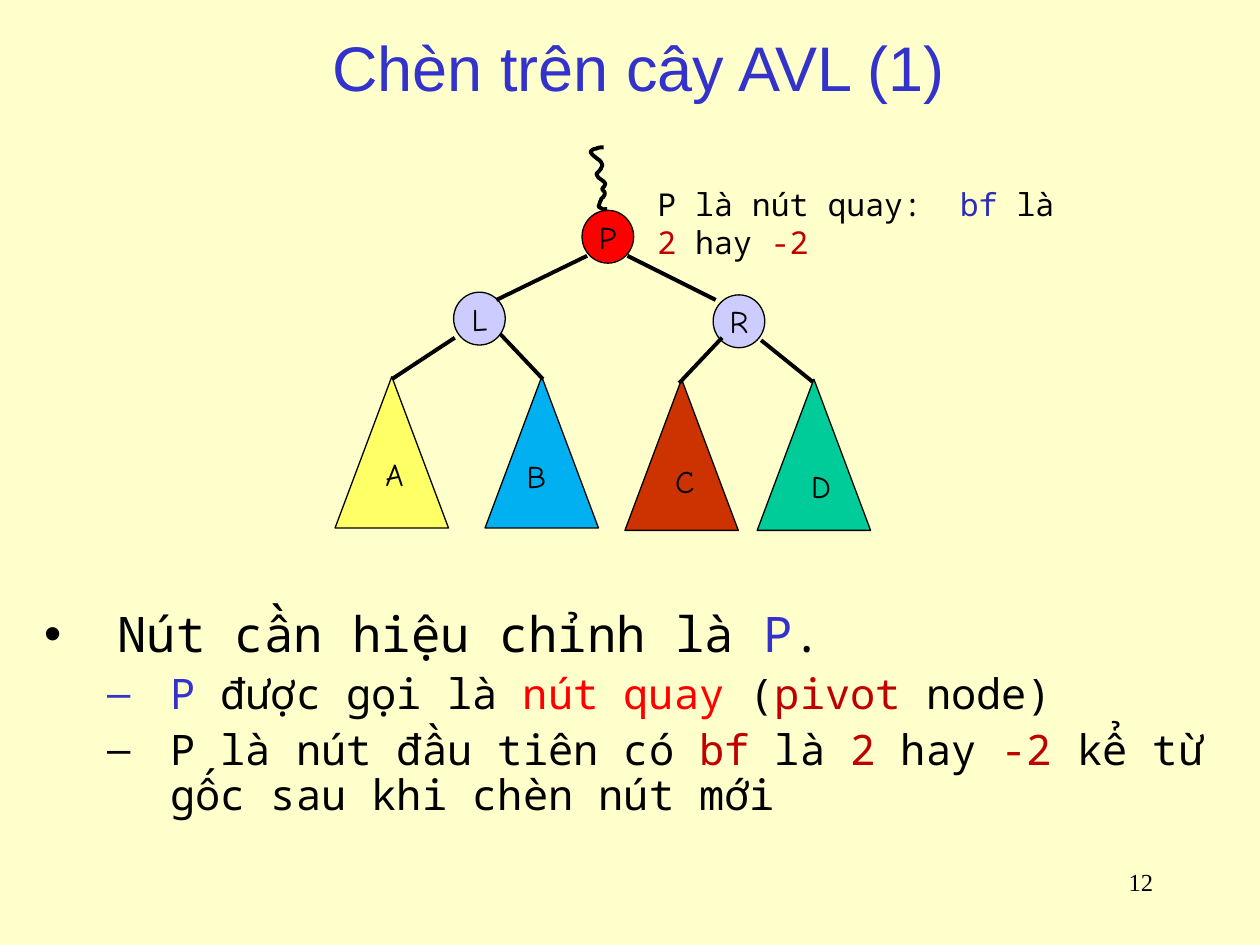
from dataclasses import dataclass
from typing import NamedTuple

from lxml import etree
from pptx import Presentation
from pptx.dml import color
from pptx.enum import shapes, text
from pptx.oxml import ns
from pptx.util import Pt


@dataclass(frozen=True)
class Theme:
    background: str = "FFFFCC"
    ink: str = "000000"
    blue: str = "3333CC"
    navy: str = "2D2DB9"
    red: str = "FF0000"
    crimson: str = "C00000"
    lilac: str = "CCCCFF"
    yellow: str = "FFFF66"
    sky: str = "00B0F0"
    rust: str = "CC3300"
    green: str = "00CC99"
    heading: str = "Arial"
    mono: str = "Noto Sans Mono"
    hand: str = "Comic Neue"
    serif: str = "Times New Roman"
    title_size: float = 36
    item_size: float = 28
    subitem_size: float = 24
    label_size: float = 18
    number_size: float = 14
    outline: float = 0.75
    edge: float = 2.25


T = Theme()


class Node(NamedTuple):
    label: str
    x: float
    y: float
    fill: str


class Subtree(NamedTuple):
    label: str
    x: float
    y: float
    fill: str
    label_x: float
    label_y: float


class Edge(NamedTuple):
    x1: float
    y1: float
    x2: float
    y2: float


class Span(NamedTuple):
    text: str
    color: str = T.ink


class Item(NamedTuple):
    level: int
    size: float
    margin: float
    hanging: float
    before: float
    bullet: str
    bullet_color: str
    spans: list[Span]


NODES = [
    Node("P", 332.6, 120.2, T.red),
    Node("L", 259.2, 167, T.lilac),
    Node("R", 407.5, 168.5, T.lilac),
]
SUBTREES = [
    Subtree("A", 191.5, 215.3, T.yellow, 213.1, 256.3),
    Subtree("B", 277.2, 215.3, T.sky, 293.8, 257.8),
    Subtree("C", 357.1, 216.7, T.rust, 378.7, 260.6),
    Subtree("D", 432.7, 216.7, T.green, 456.5, 263.5),
]
OUTER_EDGES = [
    Edge(335.5, 146.2, 283.7, 171.4),
    Edge(358.6, 146.2, 409, 171.4),
    Edge(434.9, 194.4, 464.4, 218.2),
    Edge(259.9, 193, 223.9, 216.7),
]
INNER_EDGES = [
    Edge(285.8, 190.8, 310.3, 216.7),
    Edge(412.6, 193, 388.1, 218.9),
]
SQUIGGLE_START = (344.9, 84.2)
SQUIGGLE_CURVES = [
    ((343.4, 84.2), (342, 84.2), (340.6, 85)),
    ((339.1, 85), (338.4, 85.7), (337.7, 86.4)),
    ((337, 87.8), (340.6, 90), (341.3, 90.7)),
    ((343.4, 92.2), (343.4, 92.2), (344.2, 94.3)),
    ((344.2, 95), (343.4, 95.8), (343.4, 96.5)),
    ((341.3, 99.4), (339.8, 98.6), (342, 101.5)),
    ((342.7, 102.2), (344.2, 103), (344.9, 103.7)),
    ((345.6, 104.4), (346.3, 105.1), (345.6, 105.8)),
    ((345.6, 106.6), (344.2, 107.3), (344.2, 108)),
    ((344.2, 108.7), (345.6, 109.4), (345.6, 110.2)),
    ((345.6, 110.9), (345.6, 111.6), (344.9, 112.3)),
    ((344.9, 113), (343.4, 113), (343.4, 114.5)),
    ((342.7, 115.2), (342.7, 116.6), (342, 118.1)),
    ((345.6, 120.2), (344.2, 119.5), (347, 119.5)),
]
NOTE = [Span("P là nút quay:  "), Span("bf", T.navy), Span(" là "),
        Span("2", T.crimson), Span(" hay "), Span("-2", T.crimson)]
ITEMS = [
    Item(0, T.item_size, 42, 42, 0, "•", T.ink, [
        Span("Nút cần hiệu chỉnh là "), Span("P", T.blue), Span(".")]),
    Item(1, T.subitem_size, 72, 36, 6, "–", T.blue, [
        Span("P", T.blue), Span(" được gọi là "), Span("nút quay ", T.red),
        Span("("), Span("pivot", T.crimson), Span(" node)")]),
    Item(1, T.subitem_size, 72, 36, 6, "–", T.ink, [
        Span("P là nút đầu tiên có "), Span("bf", T.crimson), Span(" là "),
        Span("2", T.crimson), Span(" hay "), Span("-2", T.crimson),
        Span(" kể từ gốc sau khi chèn nút mới")]),
]


def rgb(value: str) -> color.RGBColor:
    return color.RGBColor.from_string(value)


def add_run(p, content: str, *, size: float, font: str, ink: str = T.ink) -> None:
    r = p.add_run()
    r.text = content
    r.font.size = Pt(size)
    r.font.name = font
    r.font.color.rgb = rgb(ink)


def place(sp, x: float, y: float, w: float, h: float) -> None:
    sp.left, sp.top, sp.width, sp.height = Pt(x), Pt(y), Pt(w), Pt(h)


def add_box(s, x: float, y: float, w: float, h: float, wrap: bool = False):
    tf = s.shapes.add_textbox(Pt(x), Pt(y), Pt(w), Pt(h)).text_frame
    tf.word_wrap = wrap
    return tf.paragraphs[0]


def add_filled(s, kind, x: float, y: float, w: float, h: float, fill: str):
    sp = s.shapes.add_shape(kind, Pt(x), Pt(y), Pt(w), Pt(h))
    sp.shadow.inherit = False
    sp.fill.solid()
    sp.fill.fore_color.rgb = rgb(fill)
    sp.line.color.rgb = rgb(T.ink)
    sp.line.width = Pt(T.outline)
    return sp


def add_node(s, node: Node) -> None:
    sp = add_filled(s, shapes.MSO_SHAPE.OVAL, node.x, node.y, 29.5, 30.2, node.fill)
    tf = sp.text_frame
    tf.word_wrap = False
    tf.vertical_anchor = text.MSO_ANCHOR.MIDDLE
    p = tf.paragraphs[0]
    p.alignment = text.PP_ALIGN.CENTER
    add_run(p, node.label, size=T.label_size, font=T.hand)


def add_subtree(s, tree: Subtree) -> None:
    add_filled(s, shapes.MSO_SHAPE.ISOSCELES_TRIANGLE, tree.x, tree.y, 64.8, 86.4, tree.fill)
    p = add_box(s, tree.label_x, tree.label_y, 25, 28.8)
    add_run(p, tree.label, size=T.label_size, font=T.hand)


def add_edge(s, edge: Edge) -> None:
    sp = s.shapes.add_connector(shapes.MSO_CONNECTOR.STRAIGHT, *map(Pt, edge))
    sp.line.color.rgb = rgb(T.ink)
    sp.line.width = Pt(T.edge)
    etree.SubElement(sp._element.spPr, ns.qn("a:effectLst"))


def add_squiggle(s, steps: int = 6) -> None:
    points, start = [], SQUIGGLE_START
    for c1, c2, end in SQUIGGLE_CURVES:
        for t in (i / steps for i in range(1, steps + 1)):
            weights = ((1 - t) ** 3, 3 * t * (1 - t) ** 2, 3 * t * t * (1 - t), t ** 3)
            points.append(tuple(
                Pt(sum(k * v for k, v in zip(weights, axis)))
                for axis in zip(start, c1, c2, end)))
        start = end
    builder = s.shapes.build_freeform(*map(Pt, SQUIGGLE_START))
    builder.add_line_segments(points, close=False)
    sp = builder.convert_to_shape()
    sp.shadow.inherit = False
    sp.fill.background()
    sp.line.color.rgb = rgb(T.ink)
    sp.line.width = Pt(T.edge)


def add_item(p, item: Item) -> None:
    p.level = item.level
    pPr = p._p.get_or_add_pPr()
    pPr.set("marL", str(Pt(item.margin)))
    pPr.set("indent", str(-Pt(item.hanging)))
    tint = etree.SubElement(pPr, ns.qn("a:buClr"))
    etree.SubElement(tint, ns.qn("a:srgbClr"), val=item.bullet_color)
    etree.SubElement(pPr, ns.qn("a:buChar"), char=item.bullet)
    p.line_spacing = 0.9
    p.space_before = Pt(item.before)
    for span in item.spans:
        add_run(p, span.text, size=item.size, font=T.mono, ink=span.color)


def main() -> None:
    prs = Presentation()
    prs.slide_width, prs.slide_height = Pt(720), Pt(540)
    s = prs.slides.add_slide(prs.slide_layouts[1])
    s.background.fill.solid()
    s.background.fill.fore_color.rgb = rgb(T.background)

    title, body = s.placeholders
    place(title, 21.6, 10.8, 686.9, 54.7)
    title.text_frame.vertical_anchor = text.MSO_ANCHOR.MIDDLE
    title.text_frame.auto_size = text.MSO_AUTO_SIZE.NONE
    p = title.text_frame.paragraphs[0]
    p.alignment = text.PP_ALIGN.CENTER
    add_run(p, "Chèn trên cây AVL (1)", size=T.title_size, font=T.heading, ink=T.blue)

    place(body, 18, 344.9, 684.7, 156.2)
    tf = body.text_frame
    tf.auto_size = text.MSO_AUTO_SIZE.NONE
    for i, item in enumerate(ITEMS):
        add_item(tf.add_paragraph() if i else tf.paragraphs[0], item)

    for node in NODES:
        add_node(s, node)
    for edge in OUTER_EDGES:
        add_edge(s, edge)
    for tree in SUBTREES:
        add_subtree(s, tree)
    for edge in INNER_EDGES:
        add_edge(s, edge)
    add_squiggle(s)

    p = add_box(s, 368.6, 102.2, 245.5, 28.8, wrap=True)
    for span in NOTE:
        add_run(p, span.text, size=T.label_size, font=T.mono, ink=span.color)

    p = add_box(s, 516.2, 491.8, 149.8, 36, wrap=True)
    p.alignment = text.PP_ALIGN.RIGHT
    add_run(p, "12", size=T.number_size, font=T.serif)

    prs.save("out.pptx")


if __name__ == "__main__":
    main()
